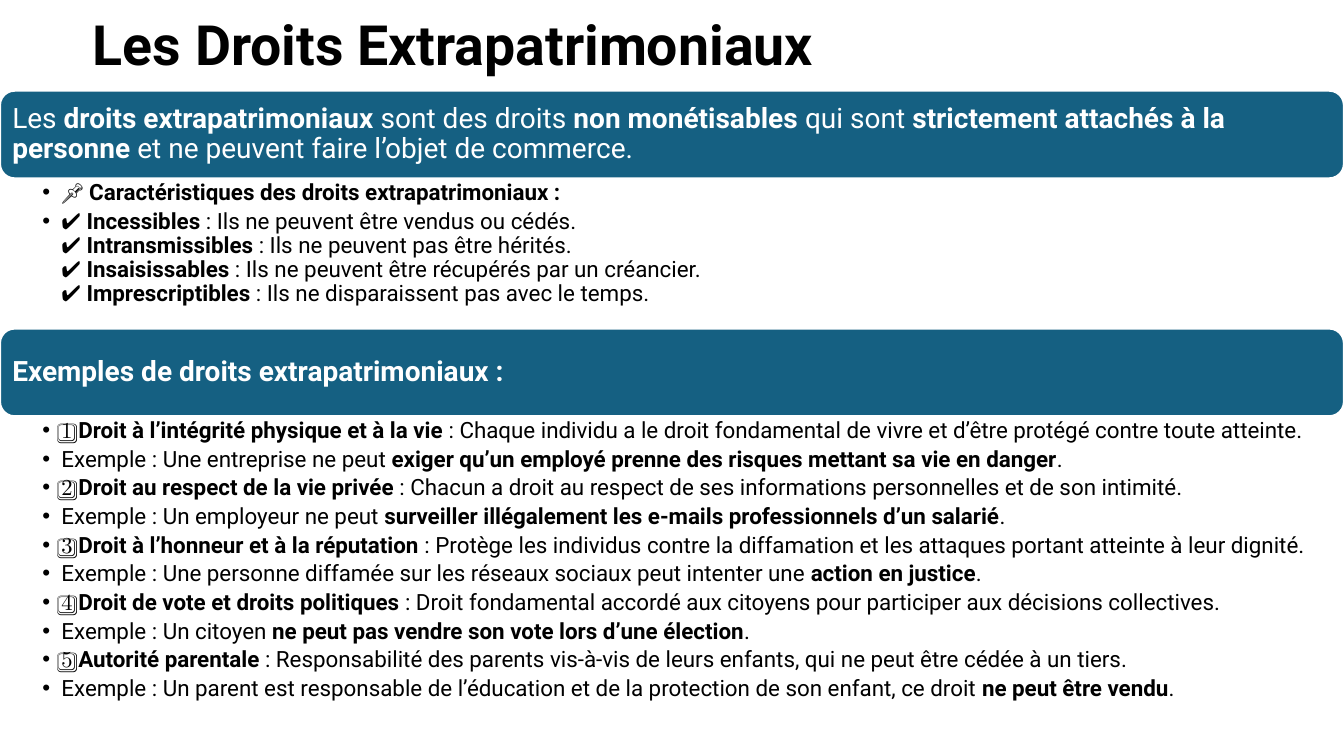
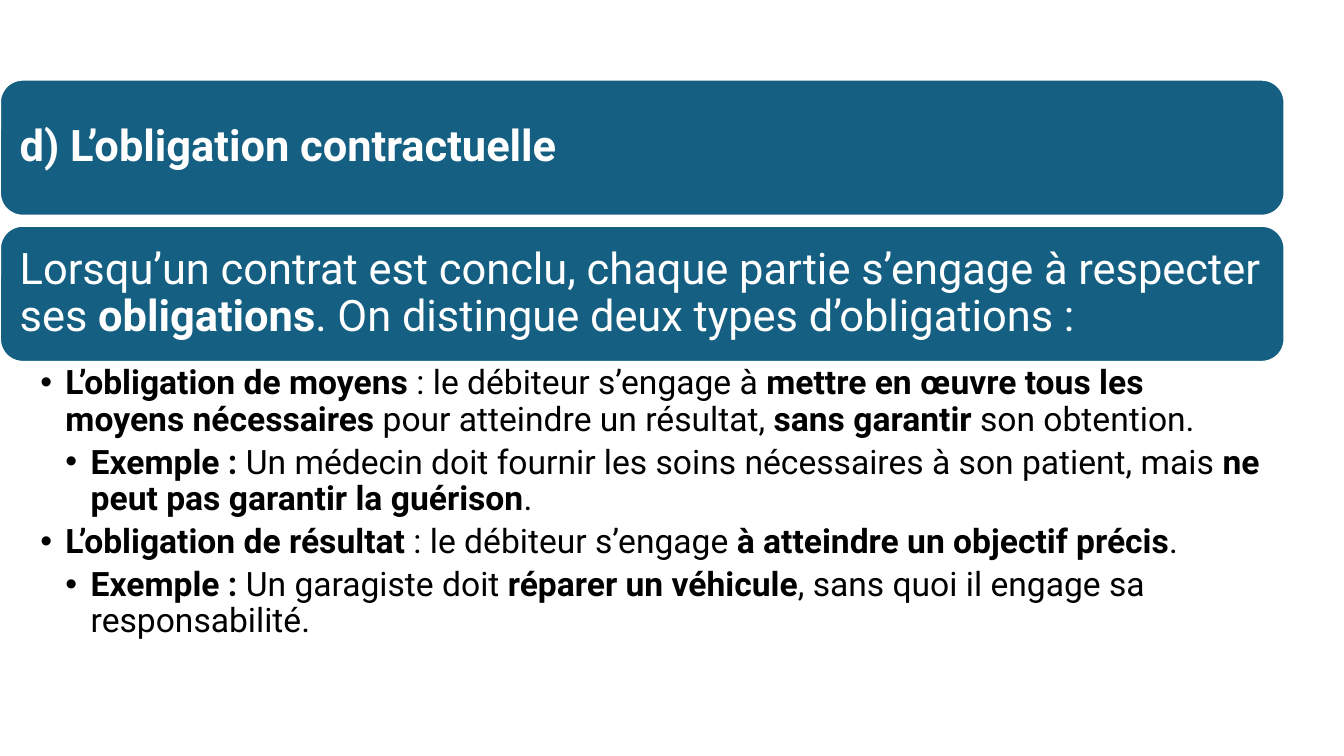
from copy import deepcopy

from lxml.etree import SubElement
from pptx import Presentation
from pptx.dml.color import RGBColor
from pptx.enum.shapes import MSO_SHAPE
from pptx.enum.text import MSO_ANCHOR, MSO_AUTO_SIZE, PP_ALIGN
from pptx.oxml.ns import qn
from pptx.util import Inches, Pt

COLORS = {"band": "156082", "light": "FFFFFF", "dark": "000000"}
FONT = "Roboto"
TITLE_ONLY, BLANK = 5, 6

# Text between ** marks is bold; each body item is (level, text).
RIGHTS_DEFINITION = (
    "Les **droits extrapatrimoniaux** sont des droits **non monétisables** qui sont "
    "**strictement attachés à la personne** et ne peuvent faire l’objet de commerce."
)
RIGHTS_FEATURES = [
    (0, "**📌 Caractéristiques des droits extrapatrimoniaux :**"),
    (0, "✔ **Incessibles** : Ils ne peuvent être vendus ou cédés.\n"
        "✔ **Intransmissibles** : Ils ne peuvent pas être hérités.\n"
        "✔ **Insaisissables** : Ils ne peuvent être récupérés par un créancier.\n"
        "✔ **Imprescriptibles** : Ils ne disparaissent pas avec le temps."),
]
RIGHTS_EXAMPLES = [
    (0, "1️⃣ **Droit à l’intégrité physique et à la vie** : Chaque individu a le droit "
        "fondamental de vivre et d’être protégé contre toute atteinte."),
    (0, "Exemple : Une entreprise ne peut **exiger qu’un employé prenne des risques "
        "mettant sa vie en danger**."),
    (0, "2️⃣ **Droit au respect de la vie privée** : Chacun a droit au respect de ses "
        "informations personnelles et de son intimité."),
    (0, "Exemple : Un employeur ne peut **surveiller illégalement les e-mails "
        "professionnels d’un salarié**."),
    (0, "3️⃣ **Droit à l’honneur et à la réputation** : Protège les individus contre la "
        "diffamation et les attaques portant atteinte à leur dignité."),
    (0, "Exemple : Une personne diffamée sur les réseaux sociaux peut intenter une "
        "**action en justice**."),
    (0, "4️⃣ **Droit de vote et droits politiques** : Droit fondamental accordé aux "
        "citoyens pour participer aux décisions collectives."),
    (0, "Exemple : Un citoyen **ne peut pas vendre son vote lors d’une élection**."),
    (0, "5️⃣ **Autorité parentale** : Responsabilité des parents vis-à-vis de leurs "
        "enfants, qui ne peut être cédée à un tiers."),
    (0, "Exemple : Un parent est responsable de l’éducation et de la protection de son "
        "enfant, ce droit **ne peut être vendu**."),
]
CONTRACT_INTRO = (
    "Lorsqu’un contrat est conclu, chaque partie s’engage à respecter ses "
    "**obligations**. On distingue deux types d’obligations :"
)
CONTRACT_TYPES = [
    (0, "**L’obligation de moyens** : le débiteur s’engage à **mettre en œuvre tous les "
        "moyens nécessaires** pour atteindre un résultat, **sans garantir** son obtention."),
    (1, "**Exemple :** Un médecin doit fournir les soins nécessaires à son patient, mais "
        "**ne peut pas garantir la guérison**."),
    (0, "**L’obligation de résultat** : le débiteur s’engage **à atteindre un objectif "
        "précis**."),
    (1, "**Exemple :** Un garagiste doit **réparer un véhicule**, sans quoi il engage sa "
        "responsabilité."),
]

# Insets are left, top, right, bottom; a band's rounded corners add to its own inset.
RIGHTS_STYLE = {"band_size": 20, "band_inset": 0.08, "body_size": 16,
                "body_insets": (0.42, 0.03, 0.16, 0.03), "indent": 0.19}
CONTRACT_STYLE = {"band_size": 31, "band_inset": 0.13, "body_size": 24,
                  "body_insets": (0.4, 0.04, 0.24, 0.04), "indent": 0.25}


def rgb(name):
    return RGBColor.from_string(COLORS[name])


def set_frame(tf, insets, anchor):
    sides = ("margin_left", "margin_top", "margin_right", "margin_bottom")
    formats = dict(zip(sides, map(Inches, insets)), word_wrap=True,
                   auto_size=MSO_AUTO_SIZE.NONE, vertical_anchor=anchor)
    for name, value in formats.items():
        setattr(tf, name, value)


def write(p, text, size, color):
    """Fill a paragraph from text with ** bold marks and line breaks."""
    p.alignment, p.line_spacing = PP_ALIGN.LEFT, 0.9
    for i, part in enumerate(text.split("**")):
        for j, line in enumerate(part.split("\n")):
            if j:
                p.add_line_break()
                p._p[-1].append(deepcopy(r._r.rPr))
            if line:
                r = p.add_run()
                r.text = line
                formats = {"name": FONT, "size": Pt(size), "bold": i % 2 == 1}
                for name, value in formats.items():
                    setattr(r.font, name, value)
                r.font.color.rgb = rgb(color)


def set_bullet(p, indent, level):
    pPr = p._p.get_or_add_pPr()
    pPr.set("marL", str(Inches(indent * (level + 1))))
    pPr.set("indent", str(-Inches(indent)))
    SubElement(pPr, qn("a:buFont"), typeface="Arial")
    SubElement(pPr, qn("a:buChar"), char="•")


def add_title(s, text, box):
    title = s.shapes.title
    title.left, title.top, title.width, title.height = map(Inches, box)
    set_frame(title.text_frame, (0.1, 0.05, 0.1, 0.05), MSO_ANCHOR.MIDDLE)
    write(title.text_frame.paragraphs[0], f"**{text}**", 39.6, "dark")


def add_band(s, text, box, style):
    sp = s.shapes.add_shape(MSO_SHAPE.ROUNDED_RECTANGLE, *map(Inches, box))
    sp.shadow.inherit = False
    sp.fill.solid()
    sp.fill.fore_color.rgb = rgb("band")
    sp.line.color.rgb = rgb("light")
    sp.line.width = Pt(1.5)
    set_frame(sp.text_frame, [style["band_inset"]] * 4, MSO_ANCHOR.MIDDLE)
    write(sp.text_frame.paragraphs[0], text, style["band_size"], "light")


def add_body(s, items, box, style):
    tf = s.shapes.add_textbox(*map(Inches, box)).text_frame
    set_frame(tf, style["body_insets"], MSO_ANCHOR.TOP)
    for i, (level, text) in enumerate(items):
        p = tf.add_paragraph() if i else tf.paragraphs[0]
        p.level = level + 1
        set_bullet(p, style["indent"], level)
        p.space_after = Pt(style["body_size"] * 0.2)
        write(p, text, style["body_size"], "dark")


def add_stack(s, parts, box, style):
    """Place bands (text) and bodies (lists) downwards; parts are (content, height, gap)."""
    left, top, width = box
    for content, height, gap in parts:
        add = add_band if isinstance(content, str) else add_body
        add(s, content, (left, top, width, height), style)
        top += height + gap


def build_rights(prs):
    s = prs.slides.add_slide(prs.slide_layouts[TITLE_ONLY])
    add_title(s, "Les Droits Extrapatrimoniaux", (0.82, 0.13, 11.2, 0.69))
    add_stack(s, [
        (RIGHTS_DEFINITION, 0.87, 0),
        (RIGHTS_FEATURES, 1.49, 0),
        ("**Exemples de droits extrapatrimoniaux :**", 0.87, 0),
        (RIGHTS_EXAMPLES, 3.17, 0),
    ], (0, 0.9, 13.33), RIGHTS_STYLE)


def build_contract(prs):
    s = prs.slides.add_slide(prs.slide_layouts[BLANK])
    add_stack(s, [
        ("**d) L’obligation contractuelle**", 1.35, 0.1),
        (CONTRACT_INTRO, 1.35, 0),
        (CONTRACT_TYPES, 2.95, 0),
    ], (0, 0.79, 12.74), CONTRACT_STYLE)


def main():
    prs = Presentation()
    prs.slide_width, prs.slide_height = Inches(13.33), Inches(7.5)
    build_rights(prs)
    build_contract(prs)
    prs.save("out.pptx")


if __name__ == "__main__":
    main()
